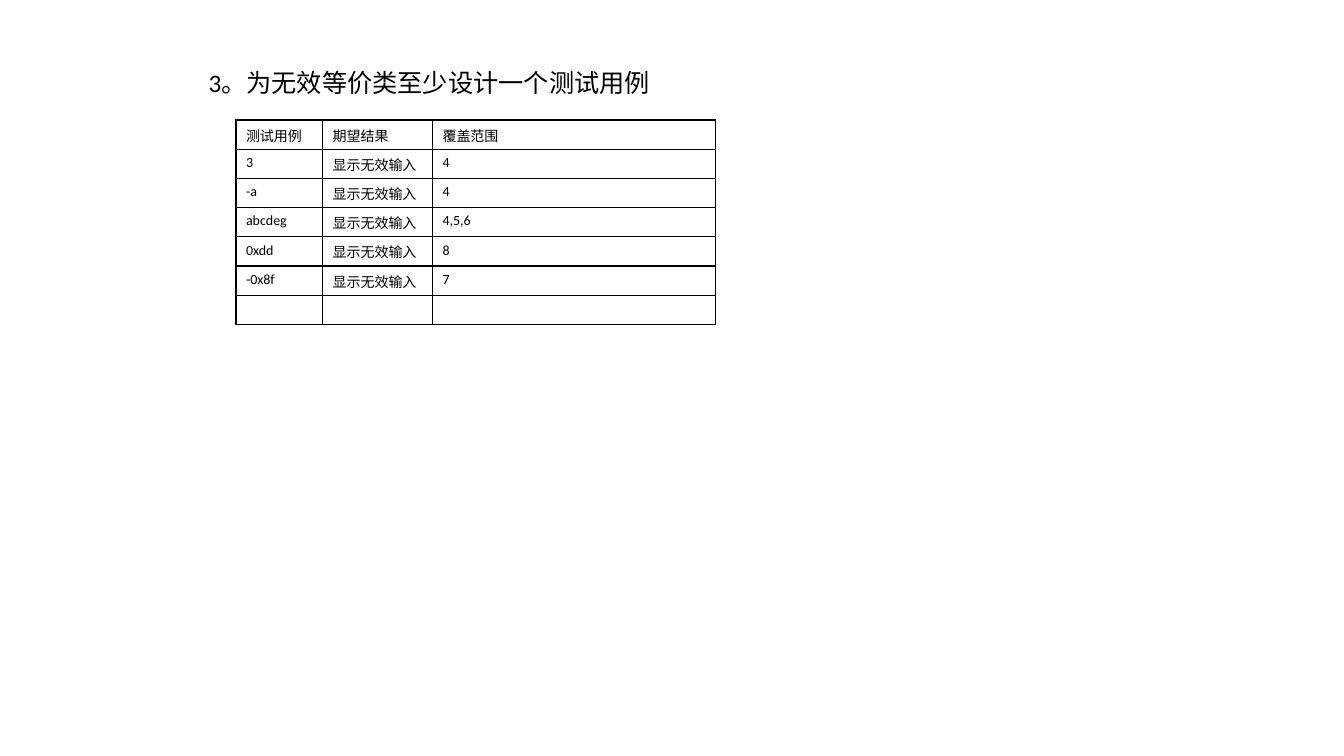
from lxml import etree
from pptx import Presentation
from pptx import oxml
from pptx import util as u
from pptx.dml.color import RGBColor
from pptx.enum import text
from pptx.oxml.ns import qn

BLACK = RGBColor(0, 0, 0)
FONT = "Calibri"
TITLE = "3。为无效等价类至少设计一个测试用例"
HEAD = ("测试用例", "期望结果", "覆盖范围")
CASES = (("3", "4"), ("-a", "4"), ("abcdeg", "4,5,6"), ("0xdd", "8"), ("-0x8f", "7"))
RESULT = "显示无效输入"
WIDTHS = (0.86, 1.09, 2.81)
ROW = 0.29
BORDER = (
    '<a:{side} xmlns:a="http://schemas.openxmlformats.org/drawingml/2006/main" w="12700">'
    '<a:solidFill><a:srgbClr val="{color}"/></a:solidFill></a:{side}>'
)


def write(para, words, size):
    """Add one run, or set the size of an empty paragraph."""
    if not words:
        etree.SubElement(para._p, qn("a:endParaRPr"), sz=str(size * 100))
        return
    run = para.add_run()
    run.text = words
    run.font.size = u.Pt(size)
    run.font.name = FONT
    run.font.color.rgb = BLACK


def add_title(slide):
    """Place the heading above the table."""
    box = slide.shapes.add_textbox(
        u.Inches(1.97), u.Inches(0.62), u.Inches(5.85), u.Inches(0.4))
    frame = box.text_frame
    frame.word_wrap = True
    frame.auto_size = text.MSO_AUTO_SIZE.SHAPE_TO_FIT_TEXT
    write(frame.paragraphs[0], TITLE, 18)


def frame_cell(cell):
    """Draw black borders round an unfilled cell."""
    props = cell._tc.get_or_add_tcPr()
    for side in ("lnL", "lnR", "lnT", "lnB"):
        props.append(oxml.parse_xml(BORDER.format(side=side, color=BLACK)))
    cell.fill.background()


def add_cases(slide):
    """Build the table of test cases, with a spare last row."""
    rows = [HEAD] + [(case, RESULT, cover) for case, cover in CASES] + [("", "", "")]
    table = slide.shapes.add_table(
        len(rows), len(WIDTHS), u.Inches(2.34), u.Inches(1.19),
        u.Inches(sum(WIDTHS)), u.Inches(ROW * len(rows))).table
    table.first_row = table.horz_banding = False
    for col, width in zip(table.columns, WIDTHS):
        col.width = u.Inches(width)
    for line, row in zip(table.rows, rows):
        line.height = u.Inches(ROW)
        for cell, words in zip(line.cells, row):
            write(cell.text_frame.paragraphs[0], words, 10)
            frame_cell(cell)


def main():
    """Create the slide and save it."""
    deck = Presentation()
    deck.slide_width = u.Inches(13.33)
    deck.slide_height = u.Inches(7.5)
    slide = deck.slides.add_slide(deck.slide_layouts[6])
    add_title(slide)
    add_cases(slide)
    deck.save("out.pptx")


main()
